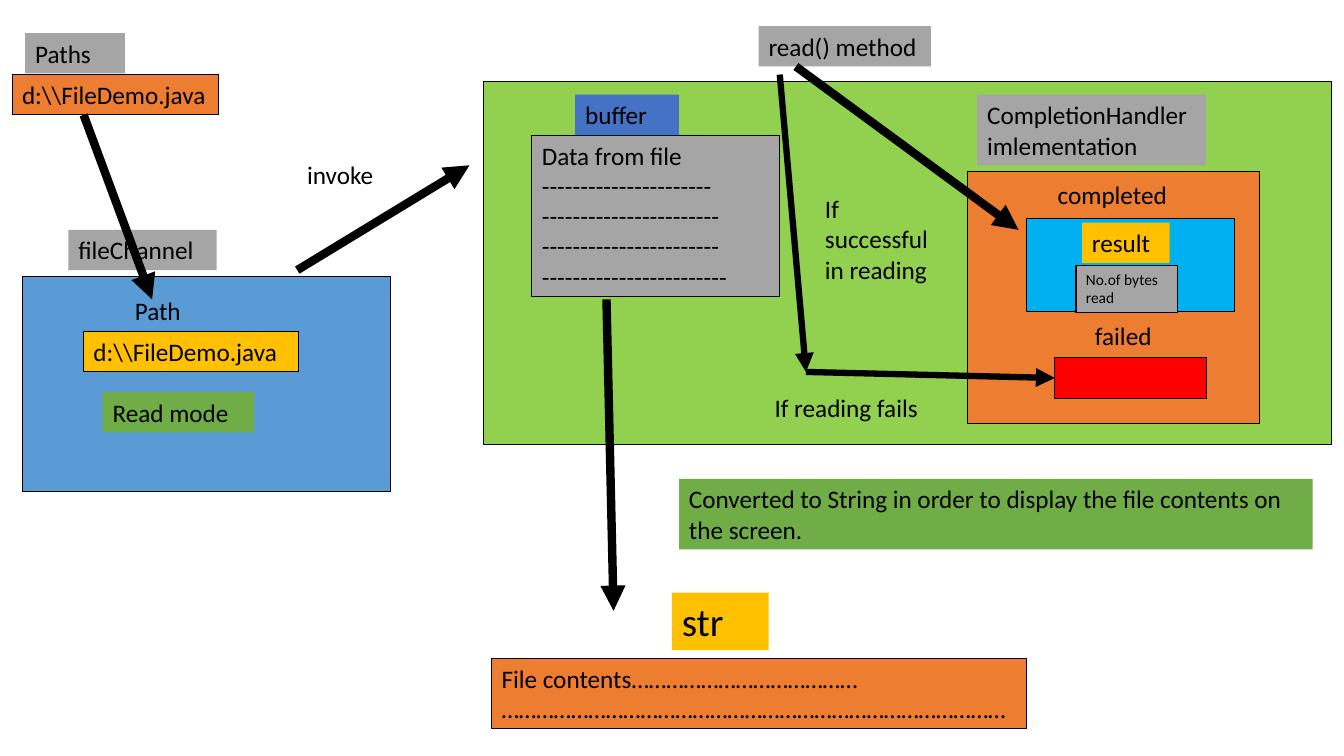
from pptx import Presentation
from pptx.dml.color import RGBColor
from pptx.enum import shapes, text
from pptx.oxml import parse_xml
from pptx.oxml import ns
from pptx.util import Inches, Pt

BLACK = RGBColor(0x00, 0x00, 0x00)
ORANGE = RGBColor(0xED, 0x7D, 0x31)
GRAY = RGBColor(0xA5, 0xA5, 0xA5)
BLUE = RGBColor(0x5B, 0x9B, 0xD5)
DARK_BLUE = RGBColor(0x44, 0x72, 0xC4)
SKY = RGBColor(0x00, 0xB0, 0xF0)
GOLD = RGBColor(0xFF, 0xC0, 0x00)
GREEN = RGBColor(0x70, 0xAD, 0x47)
LIME = RGBColor(0x92, 0xD0, 0x50)
RED = RGBColor(0xFF, 0x00, 0x00)

FONT = "Calibri"
BODY, SMALL, LARGE = 18, 11, 28
ROW, TWO_ROWS = 0.4, 0.7

PANELS = [
    ("channel", 0.22, 2.74, 3.66, 2.14, BLUE),
    ("reading", 4.8, 0.81, 8.42, 3.6, LIME),
    ("handler", 9.6, 1.7, 2.9, 2.5, ORANGE),
    ("completed", 10.19, 2.17, 2.06, 0.92, SKY),
    ("failed", 10.47, 3.55, 1.51, ROW, RED),
]

BOXES = [
    (["d:\\\\FileDemo.java"], 0.12, 0.74, 2.05, ROW, ORANGE, True, BODY),
    (["Paths"], 0.25, 0.33, 0.99, ROW, GRAY, False, BODY),
    (["fileChannel"], 0.68, 2.28, 1.47, ROW, GRAY, False, BODY),
    (["d:\\\\FileDemo.java"], 0.83, 3.29, 2.13, ROW, GOLD, True, BODY),
    (["Read mode"], 1.02, 3.89, 1.5, ROW, GREEN, False, BODY),
    (["read() method"], 7.53, 0.26, 1.71, ROW, GRAY, False, BODY),
    (["CompletionHandler imlementation"], 9.7, 0.94, 2.27, TWO_ROWS, GRAY, False, BODY),
    (["Data from file", "-" * 22, "-" * 23, "-" * 23, "-" * 24],
     5.28, 1.34, 2.46, 1.6, GRAY, True, BODY),
    (["buffer"], 5.71, 0.94, 1.03, ROW, DARK_BLUE, False, BODY),
    (["No.of bytes read"], 10.68, 2.63, 1.01, 0.47, GRAY, True, SMALL),
    (["result"], 10.74, 2.21, 0.87, ROW, GOLD, False, BODY),
    (["Converted to String in order to display the file contents on the screen."],
     6.74, 4.75, 6.29, TWO_ROWS, GREEN, False, BODY),
    (["File contents…………………………………",
      "……………………………………………………………………………"],
     4.88, 6.53, 5.31, TWO_ROWS, ORANGE, True, BODY),
    (["str"], 6.67, 5.88, 0.96, 0.57, GOLD, False, LARGE),
]

LABELS = [
    ("Path", 1.24, 2.88, 1.06, ROW),
    ("completed", 10.4, 1.73, 1.51, ROW),
    ("failed", 10.77, 3.13, 1.01, ROW),
    ("invoke", 2.95, 1.53, 1.08, ROW),
    ("If successful in reading", 8.09, 1.87, 1.35, 1),
    ("If reading fails", 7.59, 3.84, 2.2, ROW),
]

ARROWS = [
    ((0.83, 1.14), (1.51, 2.97), 6, None),
    ((2.95, 2.68), (4.66, 1.64), 6, None),
    ((7.9, 0.66), (10.11, 2.28), 6, None),
    ((7.74, 0.74), (8, 3.69), 4.5, None),
    ((8, 3.69), (10.47, 3.75), 4.5, "failed"),
    ((6.02, 2.97), (6.09, 6.06), 6, None),
]


def add_rect(s, x, y, w, h, fill, outlined=True):
    sp = s.shapes.add_shape(shapes.MSO_SHAPE.RECTANGLE, *map(Inches, (x, y, w, h)))
    sp.shadow.inherit = False
    sp.fill.solid()
    sp.fill.fore_color.rgb = fill
    if outlined:
        sp.line.color.rgb = BLACK
        sp.line.width = Pt(0.75)
    else:
        sp.line.fill.background()
    return sp


def write(sp, lines, size=BODY):
    tf = sp.text_frame
    tf.word_wrap = True
    tf.auto_size = text.MSO_AUTO_SIZE.SHAPE_TO_FIT_TEXT
    tf.vertical_anchor = text.MSO_ANCHOR.TOP
    for i, line in enumerate(lines):
        p = tf.add_paragraph() if i else tf.paragraphs[0]
        p.alignment = text.PP_ALIGN.LEFT
        r = p.add_run()
        r.text = line
        r.font.name = FONT
        r.font.size = Pt(size)
        r.font.color.rgb = BLACK


def add_arrow(s, start, end, width, target):
    c = s.shapes.add_connector(shapes.MSO_CONNECTOR.STRAIGHT, *map(Inches, start + end))
    if target is not None:
        c.end_connect(target, 1)
    c.line.color.rgb = BLACK
    c.line.width = Pt(width)
    c.line._get_or_add_ln().append(
        parse_xml(f'<a:tailEnd {ns.nsdecls("a")} type="triangle"/>'))
    c._element.spPr.append(parse_xml(f'<a:effectLst {ns.nsdecls("a")}/>'))


def main():
    prs = Presentation()
    prs.slide_width, prs.slide_height = Inches(13.34), Inches(7.5)
    s = prs.slides.add_slide(prs.slide_layouts[6])

    panels = {name: add_rect(s, *place) for name, *place in PANELS}
    for lines, x, y, w, h, fill, outlined, size in BOXES:
        write(add_rect(s, x, y, w, h, fill, outlined), lines, size)
    for label, *place in LABELS:
        write(s.shapes.add_textbox(*map(Inches, place)), [label])
    for start, end, width, target in ARROWS:
        add_arrow(s, start, end, width, panels.get(target))

    prs.save("out.pptx")


if __name__ == "__main__":
    main()
